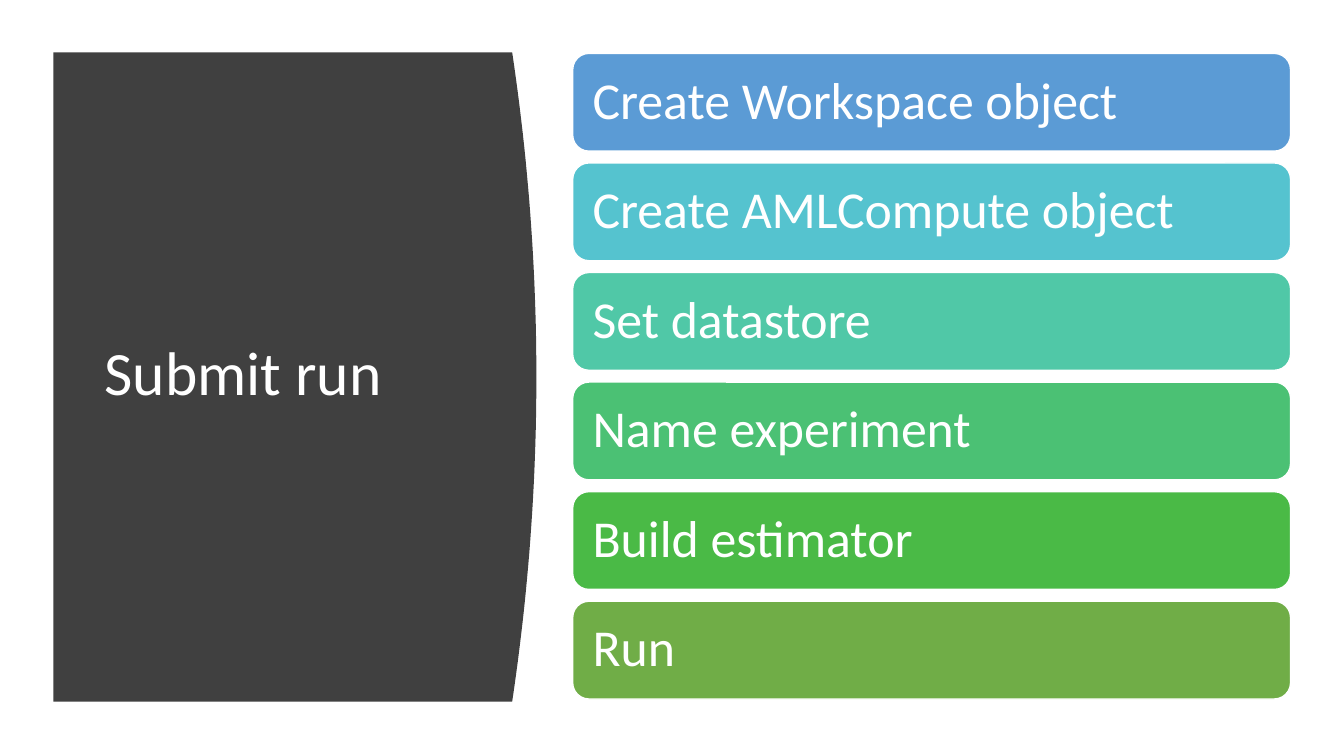
from pptx import Presentation
from pptx.dml.color import RGBColor
from pptx.enum.shapes import MSO_SHAPE
from pptx.enum.text import MSO_ANCHOR, PP_ALIGN
from pptx.util import Inches, Pt

ROUND = MSO_SHAPE.ROUNDED_RECTANGLE
MIDDLE = MSO_ANCHOR.MIDDLE
LEFT = PP_ALIGN.LEFT

WHITE = "FFFFFF"
DARK = "404040"
STEPS = [
    ("Create Workspace object", "5B9BD5"),
    ("Create AMLCompute object", "55C3CF"),
    ("Set datastore", "50C8A7"),
    ("Name experiment", "4BC174"),
    ("Build estimator", "4ABA46"),
    ("Run", "70AD47"),
]


def color(code):
    return RGBColor.from_string(code)


def paint(shape, fill):
    shape.shadow.inherit = False
    shape.fill.solid()
    shape.fill.fore_color.rgb = color(fill)


def write(shape, text, size, inset=0.1, font="Calibri", ink=WHITE):
    frame = shape.text_frame
    frame.word_wrap = True
    frame.vertical_anchor = MIDDLE
    frame.margin_left = frame.margin_right = Inches(inset)
    frame.margin_top = frame.margin_bottom = Inches(0.05)
    line = frame.paragraphs[0]
    line.alignment = LEFT
    line.line_spacing = 0.9
    run = line.add_run()
    run.text = text
    run.font.size = Pt(size)
    run.font.name = font
    run.font.color.rgb = color(ink)


def add_panel(slide, left, top, edge, bulge, bottom, count=48):
    half = (bottom - top) / 2
    curve = []
    for step in range(count + 1):
        turn = 2 * step / count - 1
        x = edge + bulge * (1 - turn ** 2)
        y = top + half * (1 + turn)
        curve.append((Inches(x), Inches(y)))
    form = slide.shapes.build_freeform(Inches(left), Inches(top))
    form.add_line_segments(curve + [(Inches(left), Inches(bottom))], close=True)
    panel = form.convert_to_shape()
    paint(panel, DARK)
    panel.line.fill.background()


def add_title(slide, text, left, top, width, height):
    box = slide.shapes.add_textbox(
        Inches(left), Inches(top), Inches(width), Inches(height))
    write(box, text, 44)


def add_step(slide, text, fill, top):
    bar = slide.shapes.add_shape(
        ROUND, Inches(5.68), Inches(top), Inches(7.12), Inches(0.97))
    paint(bar, fill)
    bar.line.color.rgb = color(WHITE)
    bar.line.width = Pt(1)
    write(bar, text, 37, inset=0.15)


def main():
    deck = Presentation()
    deck.slide_width = Inches(13.33)
    deck.slide_height = Inches(7.5)
    slide = deck.slides.add_slide(deck.slide_layouts[6])
    add_panel(slide, 0.53, 0.52, 5.08, 0.24, 6.96)
    add_title(slide, "Submit run", 0.94, 1.11, 3.74, 5.24)
    for row, (text, fill) in enumerate(STEPS):
        add_step(slide, text, fill, 0.53 + row * 1.087)
    deck.save("out.pptx")


if __name__ == "__main__":
    main()
